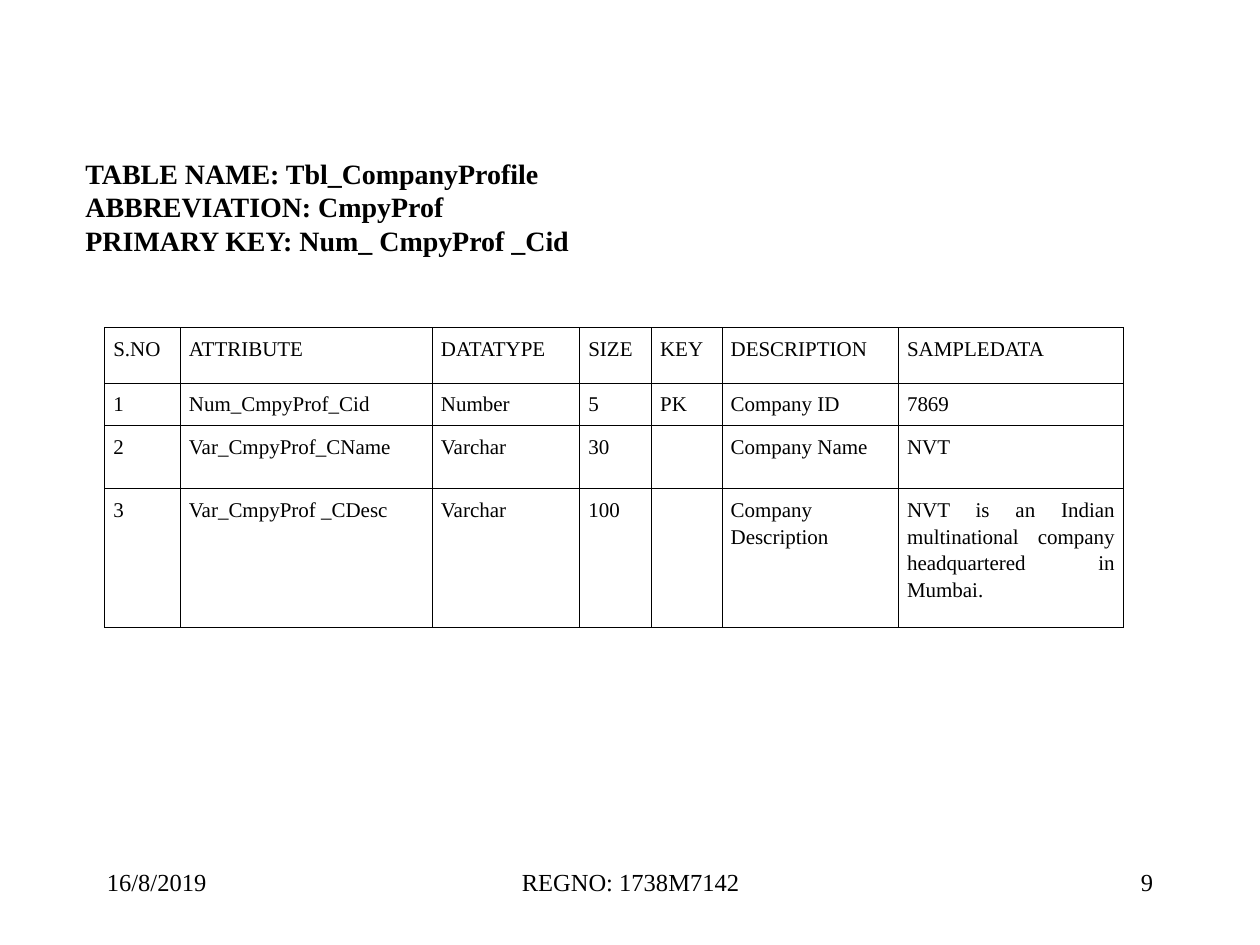
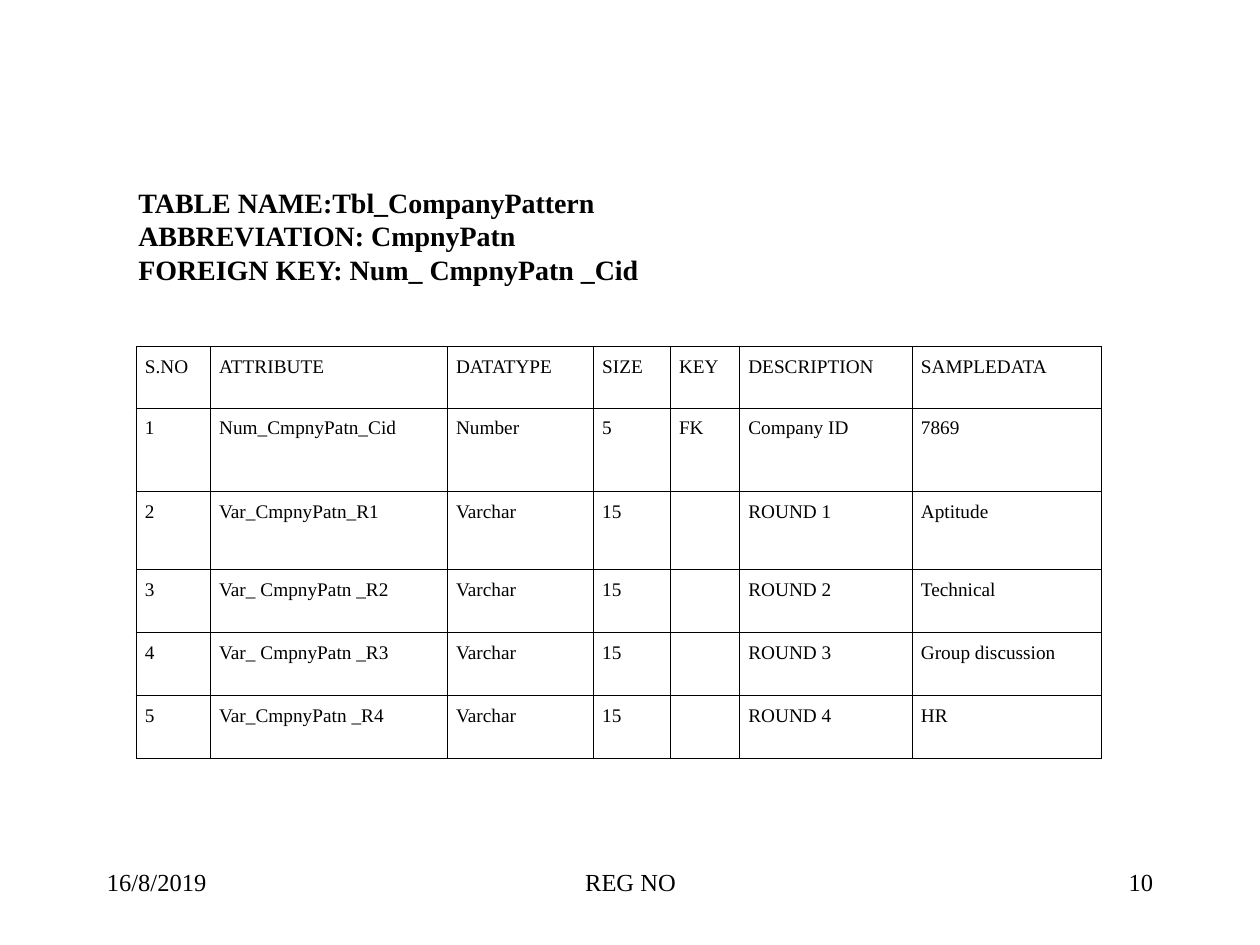
from lxml.etree import SubElement
from pptx import Presentation
from pptx.dml.color import RGBColor
from pptx.enum.text import PP_ALIGN
from pptx.oxml.ns import qn
from pptx.util import Inches, Pt

FONT = "Times New Roman"
BLACK = RGBColor(0x00, 0x00, 0x00)
RULE = Pt(0.45)
HEADS = ["S.NO", "ATTRIBUTE", "DATATYPE", "SIZE", "KEY", "DESCRIPTION", "SAMPLEDATA"]
DATE = "16/8/2019"

PROFILE = [
    ["1", "Num_CmpyProf_Cid", "Number", "5", "PK", "Company ID", "7869"],
    ["2", "Var_CmpyProf_CName", "Varchar", "30", "", "Company Name", "NVT"],
    ["3", "Var_CmpyProf _CDesc", "Varchar", "100", "", "Company Description",
     "NVT is an Indian multinational company headquartered in Mumbai."],
]
PATTERN = [
    ["1", "Num_CmpnyPatn_Cid", "Number", "5", "FK", "Company ID", "7869"],
    ["2", "Var_CmpnyPatn_R1", "Varchar", "15", "", "ROUND 1", "Aptitude"],
    ["3", "Var_ CmpnyPatn _R2", "Varchar", "15", "", "ROUND 2", "Technical"],
    ["4", "Var_ CmpnyPatn _R3", "Varchar", "15", "", "ROUND 3", "Group discussion"],
    ["5", "Var_CmpnyPatn _R4", "Varchar", "15", "", "ROUND 4", "HR"],
]


def style(frame, size, align, bold=False, space=None):
    for para in frame.paragraphs:
        para.alignment = align
        if space:
            para.line_spacing = space
        for run in para.runs:
            run.font.name = FONT
            run.font.size = Pt(size)
            run.font.bold = bold
            run.font.color.rgb = BLACK


def add_text(slide, text, left, top, width, height, size, align=PP_ALIGN.LEFT, bold=False):
    box = slide.shapes.add_textbox(Inches(left), Inches(top), Inches(width), Inches(height))
    frame = box.text_frame
    frame.word_wrap = True
    frame.text = text
    style(frame, size, align, bold)


def add_title(slide, lines, left, top, width):
    add_text(slide, "\n".join(lines), left, top, width, 1.17, 16, bold=True)


def add_footer(slide, label, page):
    add_text(slide, DATE, 0.75, 6.83, 2.08, 0.5, 14)
    add_text(slide, label, 3.42, 6.83, 3.17, 0.5, 14, PP_ALIGN.CENTER)
    add_text(slide, page, 7.17, 6.83, 2.08, 0.5, 14, PP_ALIGN.RIGHT)


def add_rules(cell):
    """Draw a thin black line on all four sides of the cell."""
    props = cell._tc.get_or_add_tcPr()
    for side in ("a:lnL", "a:lnR", "a:lnT", "a:lnB"):
        line = SubElement(props, qn(side), w=str(int(RULE)))
        fill = SubElement(line, qn("a:solidFill"))
        SubElement(fill, qn("a:srgbClr"), val=str(BLACK))


def fill_cell(cell, text, size):
    cell.text = text
    cell.margin_left = cell.margin_right = Inches(0.07)
    style(cell.text_frame, size, PP_ALIGN.JUSTIFY, space=1.15)
    add_rules(cell)
    cell.fill.background()


def add_schema(slide, rows, left, top, widths, heights, size):
    """Add a table of attributes below the shared column heads."""
    frame = slide.shapes.add_table(
        len(heights), len(widths), Inches(left), Inches(top),
        Inches(sum(widths)), Inches(sum(heights)))
    table = frame.table
    table.first_row = table.horz_banding = False
    for col, width in zip(table.columns, widths):
        col.width = Inches(width)
    for row, height, texts in zip(table.rows, heights, [HEADS] + rows):
        row.height = Inches(height)
        for cell, text in zip(row.cells, texts):
            fill_cell(cell, text, size)


def main():
    deck = Presentation()
    deck.slide_width, deck.slide_height = Inches(10), Inches(7.5)
    blank = deck.slide_layouts[6]

    slide = deck.slides.add_slide(blank)
    add_footer(slide, "REGNO: 1738M7142", "9")
    add_title(slide, ["TABLE NAME: Tbl_CompanyProfile", "ABBREVIATION: CmpyProf",
                      "PRIMARY KEY: Num_ CmpyProf _Cid"], 0.58, 1.19, 7.42)
    add_schema(slide, PROFILE, 0.83, 2.6, [0.6, 2, 1.17, 0.57, 0.56, 1.4, 1.79],
               [0.44, 0.34, 0.5, 1.1], 12)

    slide = deck.slides.add_slide(blank)
    add_footer(slide, "REG NO", "10")
    add_title(slide, ["TABLE NAME:Tbl_CompanyPattern", "ABBREVIATION: CmpnyPatn",
                      "FOREIGN KEY: Num_ CmpnyPatn _Cid"], 1, 1.42, 5)
    add_schema(slide, PATTERN, 1.08, 2.75, [0.59, 1.88, 1.16, 0.61, 0.55, 1.37, 1.5],
               [0.49, 0.66, 0.62, 0.5, 0.5, 0.5], 11)

    deck.save("out.pptx")


if __name__ == "__main__":
    main()
